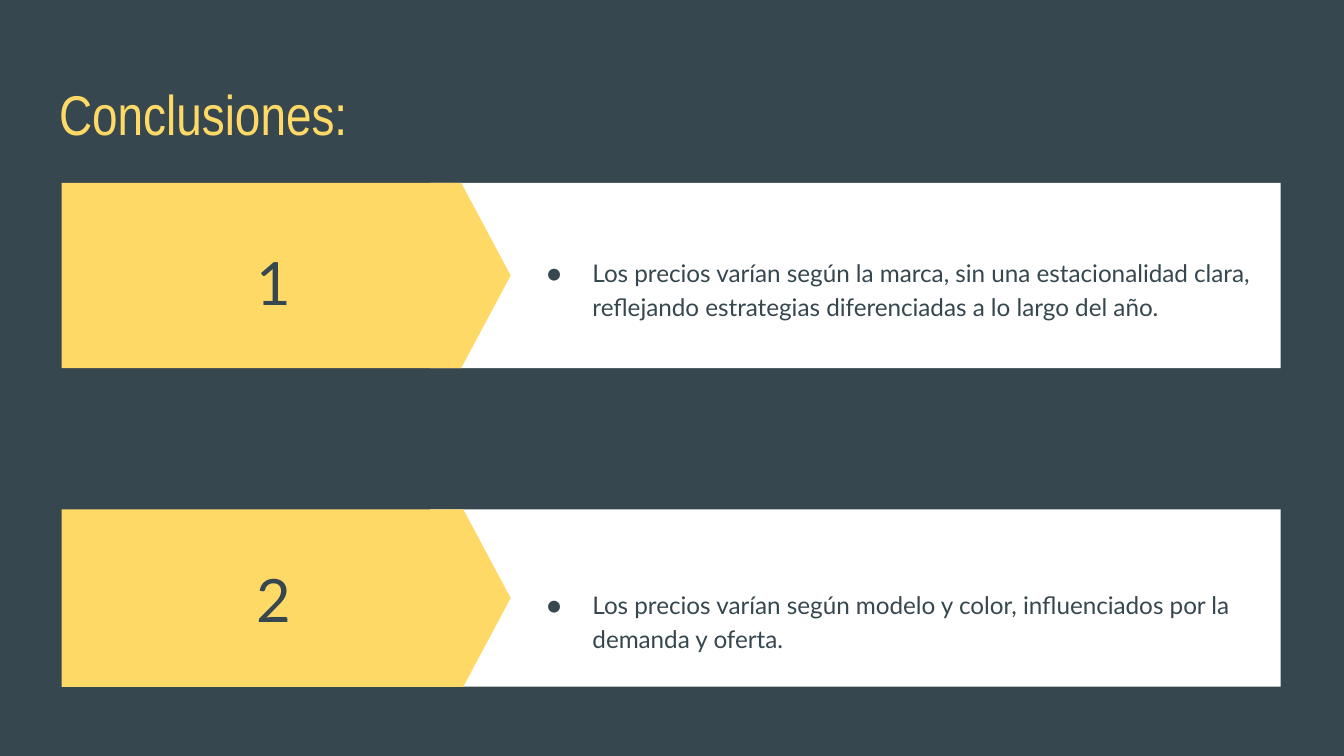
from dataclasses import dataclass

from lxml import etree
from pptx import Presentation
from pptx import util as u
from pptx.dml.color import RGBColor
from pptx.enum import shapes, text
from pptx.oxml.ns import qn


@dataclass(frozen=True)
class Theme:
    dark: RGBColor = RGBColor(0x37, 0x47, 0x4F)
    accent: RGBColor = RGBColor(0xFF, 0xD9, 0x66)
    panel: RGBColor = RGBColor(0xFF, 0xFF, 0xFF)
    title_font: str = "Arial Narrow"
    body_font: str = "Lato"
    title_size: int = 30
    number_size: int = 32
    body_size: int = 13


class SlideBuilder:
    def __init__(self, slide, theme):
        self.slide = slide
        self.theme = theme
        slide.background.fill.solid()
        slide.background.fill.fore_color.rgb = theme.dark

    def format_text(self, shape, content, font, size, color, anchor, align):
        frame = shape.text_frame
        frame.text = content
        frame.word_wrap = True
        frame.auto_size = text.MSO_AUTO_SIZE.NONE
        frame.vertical_anchor = anchor
        frame.margin_left = frame.margin_right = u.Inches(0.1)
        frame.margin_top = frame.margin_bottom = u.Inches(0.1)
        paragraph = frame.paragraphs[0]
        paragraph.alignment = align
        paragraph.font.name = font
        paragraph.font.size = u.Pt(size)
        paragraph.font.color.rgb = color
        return paragraph

    def title(self, content, left, top, width, height):
        heading = self.slide.shapes.title
        heading.left, heading.top = u.Inches(left), u.Inches(top)
        heading.width, heading.height = u.Inches(width), u.Inches(height)
        self.format_text(heading, content, self.theme.title_font,
                         self.theme.title_size, self.theme.accent,
                         text.MSO_ANCHOR.TOP, text.PP_ALIGN.LEFT)

    def block(self, preset, color, left, top, width, height):
        block = self.slide.shapes.add_shape(
            preset, *map(u.Inches, (left, top, width, height)))
        block.shadow.inherit = False
        block.fill.solid()
        block.fill.fore_color.rgb = color
        block.line.fill.background()
        return block

    def label(self, content, size, align, left, top, width, height):
        label = self.slide.shapes.add_textbox(
            *map(u.Inches, (left, top, width, height)))
        return self.format_text(label, content, self.theme.body_font, size,
                                self.theme.dark, text.MSO_ANCHOR.MIDDLE, align)

    def bullet(self, content, left, top, width, height):
        paragraph = self.label(content, self.theme.body_size,
                               text.PP_ALIGN.LEFT, left, top, width, height)
        paragraph.line_spacing = 1.15
        properties = paragraph._p.get_or_add_pPr()
        properties.set("marL", str(u.Inches(0.5)))
        properties.set("indent", str(u.Inches(-0.34)))
        marker_color = etree.Element(qn("a:buClr"))
        etree.SubElement(marker_color, qn("a:srgbClr"), val=str(self.theme.dark))
        marker_font = etree.Element(qn("a:buFont"), typeface=self.theme.body_font)
        marker = etree.Element(qn("a:buChar"), char="●")
        for part in (marker_color, marker_font, marker):
            properties.find(qn("a:defRPr")).addprevious(part)

    def conclusion(self, number, content, top, height, number_top, content_top):
        """Draw a numbered arrow on a panel with its finding beside it."""
        self.block(shapes.MSO_SHAPE.RECTANGLE, self.theme.panel,
                   3.2, top, 6.33, height)
        arrow = self.block(shapes.MSO_SHAPE.PENTAGON, self.theme.accent,
                           0.46, top, 3.34, height)
        arrow.adjustments[0] = 0.267
        self.label(str(number), self.theme.number_size, text.PP_ALIGN.CENTER,
                   0.96, number_top, 2.16, 0.99)
        self.bullet(content, 3.81, content_top, 5.59, height)


def main():
    presentation = Presentation()
    presentation.slide_width = u.Inches(10)
    presentation.slide_height = presentation.slide_width * 9 // 16
    title_only = presentation.slide_layouts[5]
    builder = SlideBuilder(presentation.slides.add_slide(title_only), Theme())

    builder.title("Conclusiones:", 0.34, 0.49, 9.32, 0.63)
    conclusions = [
        ("Los precios varían según la marca, sin una estacionalidad clara, "
         "reflejando estrategias diferenciadas a lo largo del año.",
         1.36, 1.38, 1.6, 1.45),
        ("Los precios varían según modelo y color, influenciados por la "
         "demanda y oferta.",
         3.79, 1.32, 3.96, 3.95),
    ]
    for number, (finding, *placement) in enumerate(conclusions, start=1):
        builder.conclusion(number, finding, *placement)

    presentation.save("out.pptx")


if __name__ == "__main__":
    main()
